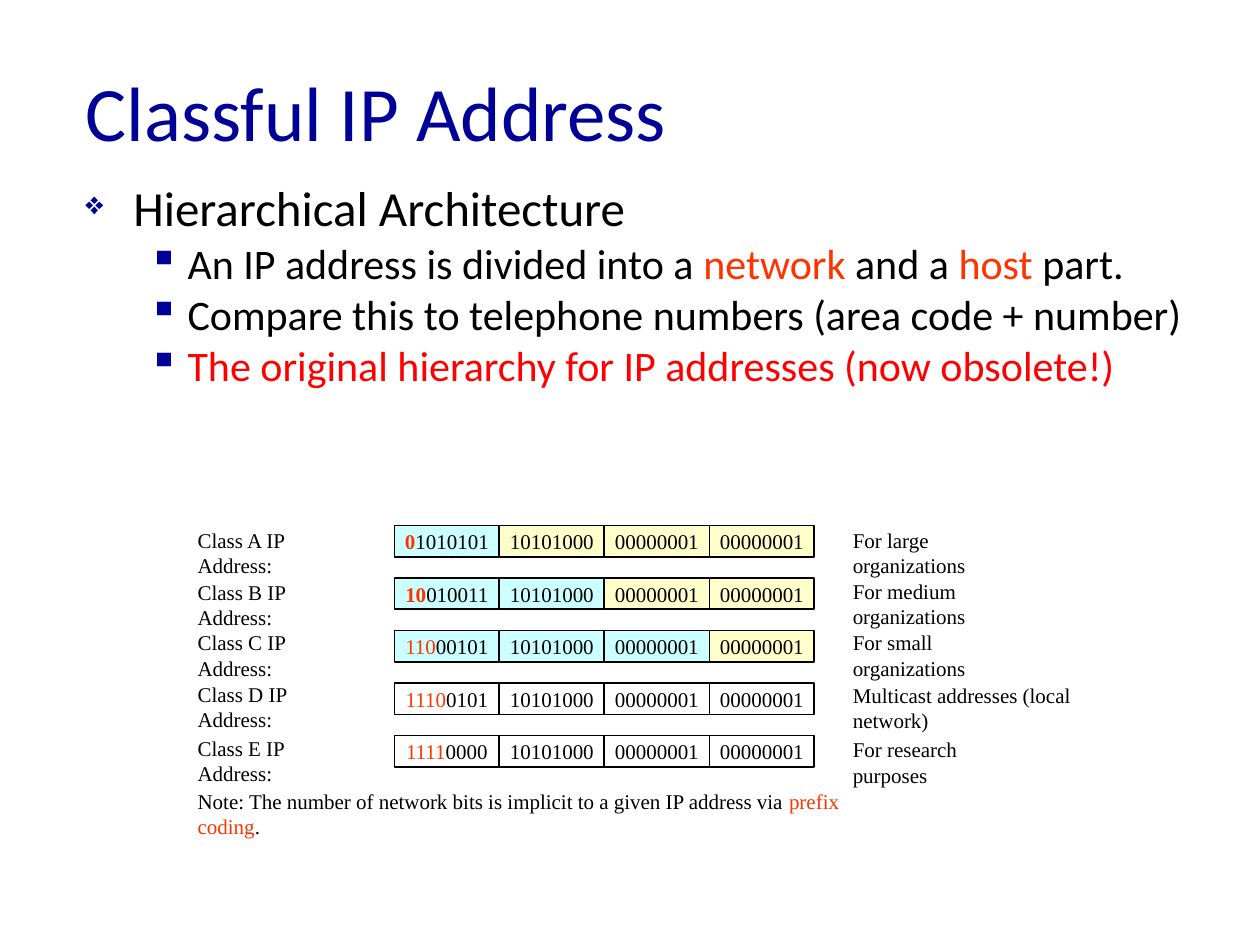
"""Builds a slide on classful IP addressing."""
from lxml import etree
from pptx import Presentation
from pptx.dml.color import RGBColor
from pptx.enum.shapes import MSO_SHAPE
from pptx.enum.text import MSO_ANCHOR, PP_ALIGN
from pptx.oxml.ns import qn
from pptx.util import Inches, Pt

RECT = MSO_SHAPE.RECTANGLE
MIDDLE = MSO_ANCHOR.MIDDLE
LEFT, CENTER = PP_ALIGN.LEFT, PP_ALIGN.CENTER

BLACK = RGBColor(0, 0, 0)
NAVY = RGBColor(0, 0, 0x99)
ORANGE = RGBColor(0xFF, 0x33, 0)
RED = RGBColor(0xFF, 0, 0)
CYAN = RGBColor(0xCC, 0xFF, 0xFF)
CREAM = RGBColor(0xFF, 0xFF, 0xCC)
SANS, SERIF = "Calibri", "Times New Roman"

TITLE = "Classful IP Address"
BULLETS = [
    (0, [("Hierarchical Architecture", BLACK)]),
    (1, [("An IP address is divided into a ", BLACK), ("network ", ORANGE),
         ("and a ", BLACK), ("host", ORANGE), (" part.", BLACK)]),
    (1, [("Compare this to telephone numbers (area code + number)", BLACK)]),
    (1, [("The original hierarchy for IP addresses (now obsolete!)", RED)]),
]
LEVELS = [
    {"char": "❖", "percent": 65, "size": 28, "margin": 0.38, "hang": 0.38},
    {"char": "▪", "percent": 100, "size": 24, "margin": 0.81, "hang": 0.31},
]
# name, prefix, rest of first octet, bold prefix, network octets, label top, use, use top, use width
CLASSES = [
    ("A", "0", "1010101", True, 1, 4.14, "For large organizations", 4.14, 1.6),
    ("B", "10", "010011", True, 2, 4.55, "For medium organizations", 4.54, 1.83),
    ("C", "110", "00101", False, 3, 4.95, "For small organizations", 4.95, 1.63),
    ("D", "1110", "0101", False, None, 5.36, "Multicast addresses (local network)", 5.37, 2.38),
    ("E", "1111", "0000", False, None, 5.79, "For research purposes", 5.8, 1.54),
]
OTHER_OCTETS = ["10101000", "00000001", "00000001"]
NOTE = [("Note: The number of network bits is implicit to a given IP address via ", BLACK),
        ("prefix coding", ORANGE), (".", BLACK)]

GRID_LEFT, GRID_TOP = 3.13, 4.17
CELL_W, CELL_H, ROW_STEP = 2.5 / 3, 0.25, 1.25 / 3
LABEL_LEFT, LABEL_W, USE_LEFT = 1.47, 1.4, 6.67


def add_run(p, text, size, color, font=SERIF, bold=False):
    r = p.add_run()
    r.text = text
    r.font.size, r.font.name, r.font.bold = Pt(size), font, bold
    r.font.color.rgb = color


def add_bullet(p, char, percent, size, margin, hang):
    pPr = p._p.get_or_add_pPr()
    pPr.set("marL", str(Inches(margin)))
    pPr.set("indent", str(-Inches(hang)))
    color = etree.SubElement(pPr, qn("a:buClr"))
    etree.SubElement(color, qn("a:srgbClr"), val=str(NAVY))
    etree.SubElement(pPr, qn("a:buSzPct"), val=str(percent * 1000))
    etree.SubElement(pPr, qn("a:buChar"), char=char)


def add_text(s, left, top, width, height, runs):
    tf = s.shapes.add_textbox(Inches(left), Inches(top), Inches(width), Inches(height)).text_frame
    tf.word_wrap = True
    for text, color in runs:
        add_run(tf.paragraphs[0], text, 12, color)
    return tf


def add_octet(s, left, top, fill, runs):
    sp = s.shapes.add_shape(RECT, Inches(left), Inches(top), Inches(CELL_W), Inches(CELL_H))
    sp.shadow.inherit = False
    if fill is None:
        sp.fill.background()
    else:
        sp.fill.solid()
        sp.fill.fore_color.rgb = fill
    sp.line.color.rgb, sp.line.width = BLACK, Pt(1)
    tf = sp.text_frame
    tf.margin_left = tf.margin_right = tf.margin_top = tf.margin_bottom = 0
    tf.vertical_anchor = MIDDLE
    p = tf.paragraphs[0]
    p.alignment = CENTER
    for text, color, bold in runs:
        add_run(p, text, 12, color, bold=bold)


def add_title(s):
    sp = s.shapes.title
    sp.left, sp.top, sp.width, sp.height = Inches(0.58), Inches(0.25), Inches(8.5), Inches(1.25)
    sp.text_frame.vertical_anchor = MIDDLE
    p = sp.text_frame.paragraphs[0]
    p.alignment = LEFT
    add_run(p, TITLE, 44, NAVY, SANS)


def add_body(s):
    tf = add_text(s, 0.58, 1.43, 9.02, 2.42, [])
    for i, (level, runs) in enumerate(BULLETS):
        style = LEVELS[level]
        p = tf.add_paragraph() if i else tf.paragraphs[0]
        p.level = level
        add_bullet(p, **style)
        p.line_spacing = 0.85
        p.space_before = Pt(0.2 * style["size"] if i else 0)
        for text, color in runs:
            add_run(p, text, style["size"], color, SANS)


def add_classes(s):
    for row, (name, prefix, rest, bold, network, label_top, use, use_top, use_w) in enumerate(CLASSES):
        octets = [[(prefix, ORANGE, bold), (rest, BLACK, False)]]
        octets += [[(bits, BLACK, False)] for bits in OTHER_OCTETS]
        for col, runs in enumerate(octets):
            fill = None if network is None else CYAN if col < network else CREAM
            add_octet(s, GRID_LEFT + col * CELL_W, GRID_TOP + row * ROW_STEP, fill, runs)
        add_text(s, LABEL_LEFT, label_top, LABEL_W, 0.3, [(f"Class {name} IP Address:", BLACK)])
        add_text(s, USE_LEFT, use_top, use_w, 0.3, [(use, BLACK)])


def main():
    prs = Presentation()
    prs.slide_width, prs.slide_height = Inches(10), Inches(7.5)
    s = prs.slides.add_slide(prs.slide_layouts[5])
    add_title(s)
    add_body(s)
    add_classes(s)
    add_text(s, LABEL_LEFT, 6.21, 5.69, 0.3, NOTE)
    prs.save("out.pptx")


if __name__ == "__main__":
    main()
